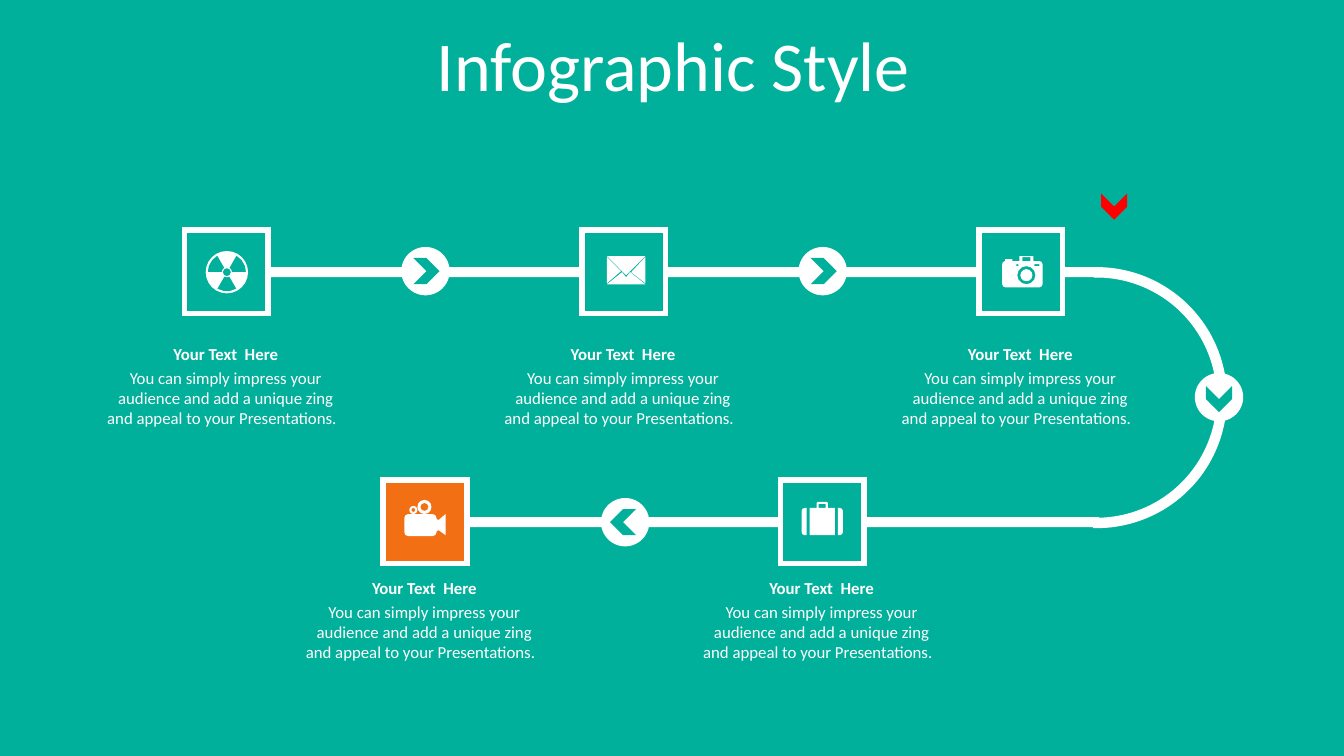
from math import cos, radians, sin

from lxml import etree
from pptx import Presentation
from pptx.dml.color import RGBColor
from pptx.enum.shapes import MSO_SHAPE
from pptx.enum.text import MSO_ANCHOR, MSO_AUTO_SIZE, PP_ALIGN
from pptx.oxml.ns import qn
from pptx.util import Inches, Pt

TEAL = RGBColor(0x00, 0xB0, 0x9B)
WHITE = RGBColor(0xFF, 0xFF, 0xFF)
ORANGE = RGBColor(0xF3, 0x6F, 0x13)
RED = RGBColor(0xFF, 0x00, 0x00)
FONT = "Calibri"
STEP = 3.94
TILE = 0.83


def add_shape(kind, x, y, w, h, fill, rotation=0):
    sp = s.shapes.add_shape(kind, Inches(x), Inches(y), Inches(w), Inches(h))
    sp.shadow.inherit = False
    sp.fill.solid()
    sp.fill.fore_color.rgb = fill
    sp.line.fill.background()
    sp.rotation = rotation
    return sp


def arc(cx, cy, r, start=0, end=330, parts=11):
    angles = [radians(start + (end - start) * i / parts) for i in range(parts + 1)]
    return [(cx + r * cos(a), cy + r * sin(a)) for a in angles]


prs = Presentation()
prs.slide_width = Inches(13.33)
prs.slide_height = Inches(7.5)
s = prs.slides.add_slide(prs.slide_layouts[6])
s.background.fill.solid()
s.background.fill.fore_color.rgb = TEAL

title = s.shapes.add_textbox(Inches(0.35), Inches(0.31), Inches(12.66), Inches(0.79))
tf = title.text_frame
tf.word_wrap = True
tf.vertical_anchor = MSO_ANCHOR.MIDDLE
p = tf.paragraphs[0]
p.alignment = PP_ALIGN.CENTER
p.line_spacing = 0.8
r = p.add_run()
r.text = "Infographic Style"
r.font.name = FONT
r.font.size = Pt(50)
r.font.color.rgb = WHITE

bend = add_shape(MSO_SHAPE.BLOCK_ARC, 9.58, 2.65, 2.59, 2.59, WHITE)
for i, value in enumerate((161.27, 54.9, 0.04)):
    bend.adjustments[i] = value
add_shape(MSO_SHAPE.RECTANGLE, 2.66, 2.65, 8.27, 0.1, WHITE)
add_shape(MSO_SHAPE.RECTANGLE, 4.64, 5.13, 6.26, 0.1, WHITE)

arrows = [
    (3.98, 2.45, 0, 0.12, 0.11),
    (3.98 + STEP, 2.45, 0, 0.12, 0.11),
    (11.85, 3.7, 90, 0.11, 0.13),
    (5.96, 4.94, 180, 0.09, 0.11),
]
for x, y, rotation, dx, dy in arrows:
    add_shape(MSO_SHAPE.OVAL, x, y, 0.48, 0.48, WHITE, rotation)
    add_shape(MSO_SHAPE.CHEVRON, x + dx, y + dy, 0.26, 0.26, TEAL, rotation)

text_blocks = [
    (0.24, 0.91, False, "You can simply impress your audience and add a unique "
                        "zing and appeal to your Presentations.  "),
    (0, 0.3, True, "Your Text  Here"),
]
stages = [
    (1.83, 2.28, 3.36, TEAL),
    (1.83 + STEP, 2.28, 3.36, TEAL),
    (1.83 + 2 * STEP, 2.28, 3.36, TEAL),
    (3.8, 4.76, 5.68, ORANGE),
    (3.8 + STEP, 4.76, 5.68, TEAL),
]
for x, y, text_y, fill in stages:
    tile = add_shape(MSO_SHAPE.RECTANGLE, x, y, TILE, TILE, fill)
    tile.line.color.rgb = WHITE
    tile.line.width = Pt(4)
    etree.SubElement(tile.line._get_or_add_ln(), qn("a:miter"), lim="800000")
    for dy, h, bold, text in text_blocks:
        tb = s.shapes.add_textbox(Inches(x - 0.89), Inches(text_y + dy), Inches(2.6), Inches(h))
        tf = tb.text_frame
        tf.word_wrap = True
        tf.auto_size = MSO_AUTO_SIZE.SHAPE_TO_FIT_TEXT
        p = tf.paragraphs[0]
        p.alignment = PP_ALIGN.CENTER
        r = p.add_run()
        r.text = text
        r.font.name = FONT
        r.font.size = Pt(12)
        r.font.bold = bold
        r.font.color.rgb = WHITE

radiation = [arc(2.25, 2.7, 0.21, 0, 345, 23), arc(2.25, 2.7, 0.04, 0, 315, 7)]
for start in (60, 180, 300):
    radiation.append(arc(2.25, 2.7, 0.19, start, start + 60, 3)
                     + arc(2.25, 2.7, 0.05, start + 60, start, 2))
envelope = [
    [(6.25, 2.7), (6.4, 2.82), (6.02, 2.82), (6.17, 2.7), (6.21, 2.75)],
    [(6.4, 2.55), (6.4, 2.81), (6.26, 2.7)],
    [(6.02, 2.55), (6.16, 2.69), (6.02, 2.81)],
    [(6.02, 2.54), (6.4, 2.54), (6.21, 2.73)],
]
camera = [
    [(9.97, 2.59), (9.97, 2.57), (10.04, 2.57), (10.04, 2.59), (10.11, 2.59),
     (10.11, 2.54), (10.25, 2.54), (10.25, 2.59)]
    + arc(10.31, 2.62, 0.03, -90, 0, 2) + arc(10.31, 2.82, 0.03, 0, 90, 2)
    + arc(9.97, 2.82, 0.03, 90, 180, 2) + arc(9.97, 2.62, 0.03, 180, 270, 2),
    arc(10.18, 2.73, 0.09),
    arc(10.18, 2.73, 0.06),
    [(10.08, 2.62), (10.08, 2.64), (10.1, 2.64), (10.1, 2.62)],
    [(10.26, 2.62), (10.26, 2.64), (10.31, 2.64), (10.31, 2.62)],
    [(10.14, 2.55), (10.14, 2.59), (10.22, 2.59), (10.22, 2.55)],
]
video_camera = [
    arc(4.1, 5.06, 0.04), arc(4.1, 5.06, 0.02, 0, 315, 7),
    arc(4.21, 5.03, 0.07), arc(4.21, 5.03, 0.04, 0, 315, 7),
    arc(4.05, 5.14, 0.04, 180, 270, 2) + arc(4.29, 5.14, 0.04, -90, 0, 2)
    + [(4.33, 5.15), (4.35, 5.16), (4.42, 5.1), (4.42, 5.31), (4.35, 5.26), (4.33, 5.27)]
    + arc(4.29, 5.28, 0.04, 0, 90, 2) + arc(4.05, 5.28, 0.04, 90, 180, 2),
]
suitcase = [
    [(8.31, 5.04)] + arc(8.33, 5.07, 0.03, -90, 0, 2)
    + arc(8.33, 5.28, 0.03, 0, 90, 2) + [(8.31, 5.31)],
    [(8, 5.04), (8, 5.31)] + arc(7.98, 5.28, 0.03, 90, 180, 2)
    + arc(7.98, 5.07, 0.03, 180, 270, 2),
    [(8.12, 5), (8.12, 5.04), (8.19, 5.04), (8.19, 5)],
    [(8.1, 4.99), (8.11, 4.98), (8.2, 4.98), (8.21, 4.99), (8.21, 5.04), (8.28, 5.04),
     (8.28, 5.31), (8.03, 5.31), (8.03, 5.04), (8.1, 5.04)],
]
for icon in (radiation, envelope, camera, video_camera, suitcase):
    outlines = [[(Inches(x), Inches(y)) for x, y in outline] for outline in icon]
    builder = s.shapes.build_freeform(*outlines[0][0])
    builder.add_line_segments(outlines[0][1:])
    for outline in outlines[1:]:
        builder.move_to(*outline[0])
        builder.add_line_segments(outline[1:])
    sp = builder.convert_to_shape()
    sp.shadow.inherit = False
    sp.fill.solid()
    sp.fill.fore_color.rgb = WHITE
    sp.line.fill.background()

add_shape(MSO_SHAPE.CHEVRON, 10.92, 1.92, 0.26, 0.26, RED, 90)

prs.save("out.pptx")
